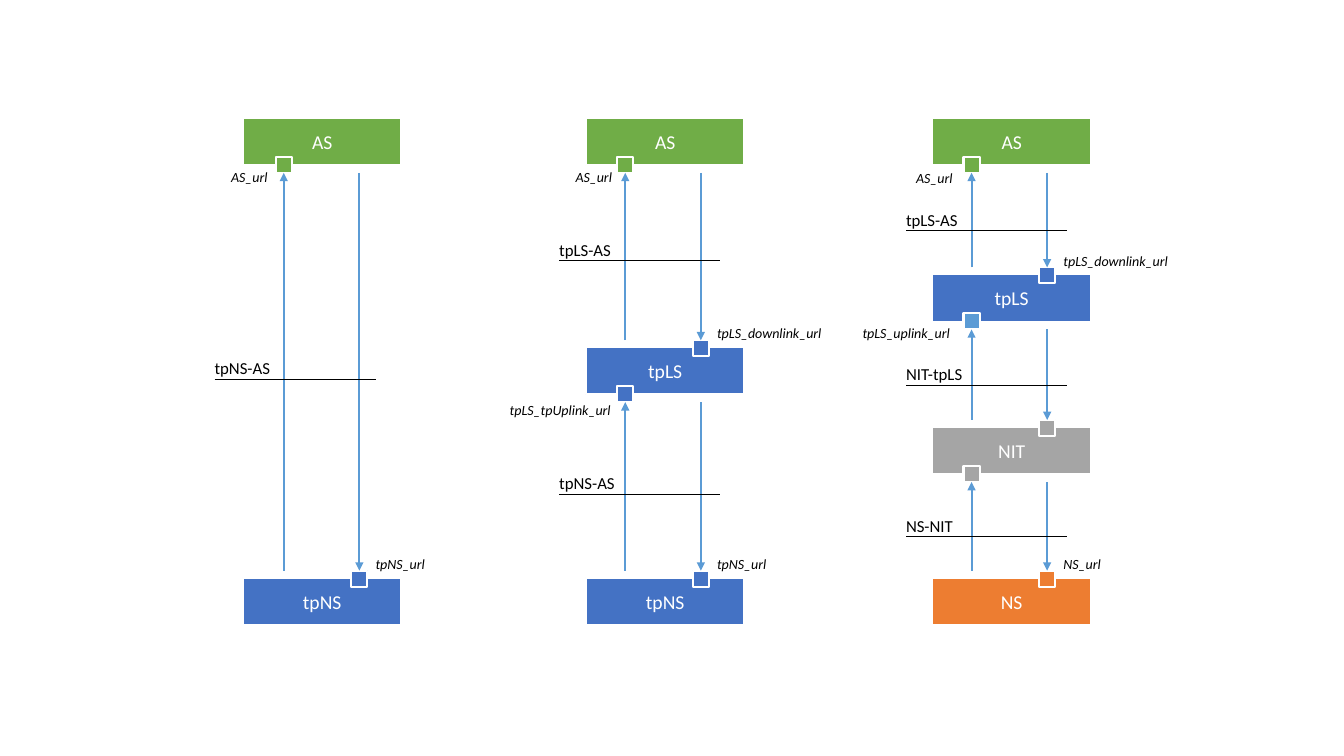
from itertools import pairwise

from lxml import etree
from pptx import Presentation
from pptx.dml.color import RGBColor
from pptx.enum.shapes import MSO_CONNECTOR, MSO_SHAPE
from pptx.enum.text import MSO_ANCHOR, MSO_AUTO_SIZE, PP_ALIGN
from pptx.oxml.ns import qn
from pptx.util import Pt

RECTANGLE = MSO_SHAPE.RECTANGLE
STRAIGHT = MSO_CONNECTOR.STRAIGHT
MIDDLE = MSO_ANCHOR.MIDDLE
FIT_SHAPE = MSO_AUTO_SIZE.SHAPE_TO_FIT_TEXT
CENTER, LEFT = PP_ALIGN.CENTER, PP_ALIGN.LEFT

WHITE = RGBColor(0xFF, 0xFF, 0xFF)
BLACK = RGBColor(0x00, 0x00, 0x00)
GREEN = RGBColor(0x70, 0xAD, 0x47)
BLUE = RGBColor(0x44, 0x72, 0xC4)
SKY = RGBColor(0x5B, 0x9B, 0xD5)
GRAY = RGBColor(0xA5, 0xA5, 0xA5)
ORANGE = RGBColor(0xED, 0x7D, 0x31)

NODE_WIDTH, NODE_HEIGHT = 113.3, 33.8
PORT = 11.5
UP_INSET, DOWN_INSET = 6, 5
LANE_GAP = 54
RULE_WIDTH = 115
TEXT_INSET = 7.2


class Diagram:
    """Draws network nodes, ports and links on one slide in a shared style."""

    font_name = "Calibri"

    def __init__(self, slide):
        self.slide = slide

    def style(self, paragraph, size, color, align, italic=False):
        paragraph.alignment = align
        font = paragraph.font
        font.name, font.size, font.italic = self.font_name, Pt(size), italic
        font.color.rgb = color

    def block(self, left, top, width, height, color):
        block = self.slide.shapes.add_shape(
            RECTANGLE, Pt(left), Pt(top), Pt(width), Pt(height))
        block.shadow.inherit = False
        block.fill.solid()
        block.fill.fore_color.rgb = color
        block.line.color.rgb = WHITE
        block.line.width = Pt(1.5)
        return block

    def node(self, left, top, name, color):
        frame = self.block(left, top, NODE_WIDTH, NODE_HEIGHT, color).text_frame
        frame.vertical_anchor = MIDDLE
        frame.text = name
        self.style(frame.paragraphs[0], 14, WHITE, CENTER)

    def port(self, center, top, color):
        self.block(center - PORT / 2, top, PORT, PORT, color)

    def line(self, x1, y1, x2, y2, color, weight, arrow=False):
        line = self.slide.shapes.add_connector(
            STRAIGHT, Pt(x1), Pt(y1), Pt(x2), Pt(y2))
        line.line.color.rgb = color
        line.line.width = Pt(weight)
        if arrow:
            etree.SubElement(line.line._get_or_add_ln(), qn("a:tailEnd"), type="triangle")
        etree.SubElement(line._element.spPr, qn("a:effectLst"))

    def text(self, left, top, width, height, wording, size, italic=False):
        box = self.slide.shapes.add_textbox(Pt(left), Pt(top), Pt(width), Pt(height))
        frame = box.text_frame
        frame.word_wrap = False
        frame.auto_size = FIT_SHAPE
        frame.text = wording
        self.style(frame.paragraphs[0], size, BLACK, LEFT, italic)

    def url(self, left, top, wording):
        if wording:
            width = 2 * TEXT_INSET + 4.5 * len(wording)
            self.text(left, top, width, 19.4, wording, 10, italic=True)

    def interface(self, left, y, name):
        width = 2 * TEXT_INSET + 5.8 * len(name)
        self.text(left - TEXT_INSET, y - 18.4, width, 21.8, name, 12)
        self.line(left, y, left + RULE_WIDTH, y, BLACK, 0.5)

    def column(self, left, uplink, rule_left, nodes, links):
        for name, top, color, _ in nodes:
            self.node(left, top, name, color)
        downlink = uplink + LANE_GAP
        for (upper, lower), link in zip(pairwise(nodes), links):
            name, rule_y, up_url, up_left, up_top, down_url = link
            up_port = upper[1] + NODE_HEIGHT - UP_INSET
            down_port = lower[1] - DOWN_INSET
            start, end = up_port + PORT, down_port
            self.port(uplink, up_port, upper[3])
            self.port(downlink, down_port, lower[2])
            self.line(uplink, end, uplink, start, SKY, 1.5, arrow=True)
            self.line(downlink, start, downlink, end, SKY, 1.5, arrow=True)
            self.url(up_left, up_top, up_url)
            self.url(downlink + 4.5, lower[1] - 19.5, down_url)
            self.interface(rule_left, rule_y, name)


TOP, BOTTOM = 84.2, 412.6
AS = ("AS", TOP, GREEN, GREEN)
TPNS = ("tpNS", BOTTOM, BLUE, BLUE)

COLUMNS = [
    (173.5, 202.7, 153.4,
     [AS, TPNS],
     [("tpNS-AS", 270.7, "AS_url", 158, 116.6, "tpNS_url")]),
    (418.5, 446.6, 399.6,
     [AS, ("tpLS", 248, BLUE, BLUE), TPNS],
     [("tpLS-AS", 185.8, "AS_url", 404, 116.6, "tpLS_downlink_url"),
      ("tpNS-AS", 352.8, "tpLS_tpUplink_url", 357, 283, "tpNS_url")]),
    (666, 694, 647.3,
     [AS, ("tpLS", 196, BLUE, SKY), ("NIT", 305, GRAY, GRAY),
      ("NS", BOTTOM, ORANGE, ORANGE)],
     [("tpLS-AS", 164.8, "AS_url", 647.3, 117.4, "tpLS_downlink_url"),
      ("NIT-tpLS", 275, "tpLS_uplink_url", 609, 228.2, ""),
      ("NS-NIT", 383, "", 0, 0, "NS_url")]),
]

deck = Presentation()
deck.slide_width, deck.slide_height = Pt(960), Pt(540)
diagram = Diagram(deck.slides.add_slide(deck.slide_layouts[6]))
for column in COLUMNS:
    diagram.column(*column)
deck.save("out.pptx")
